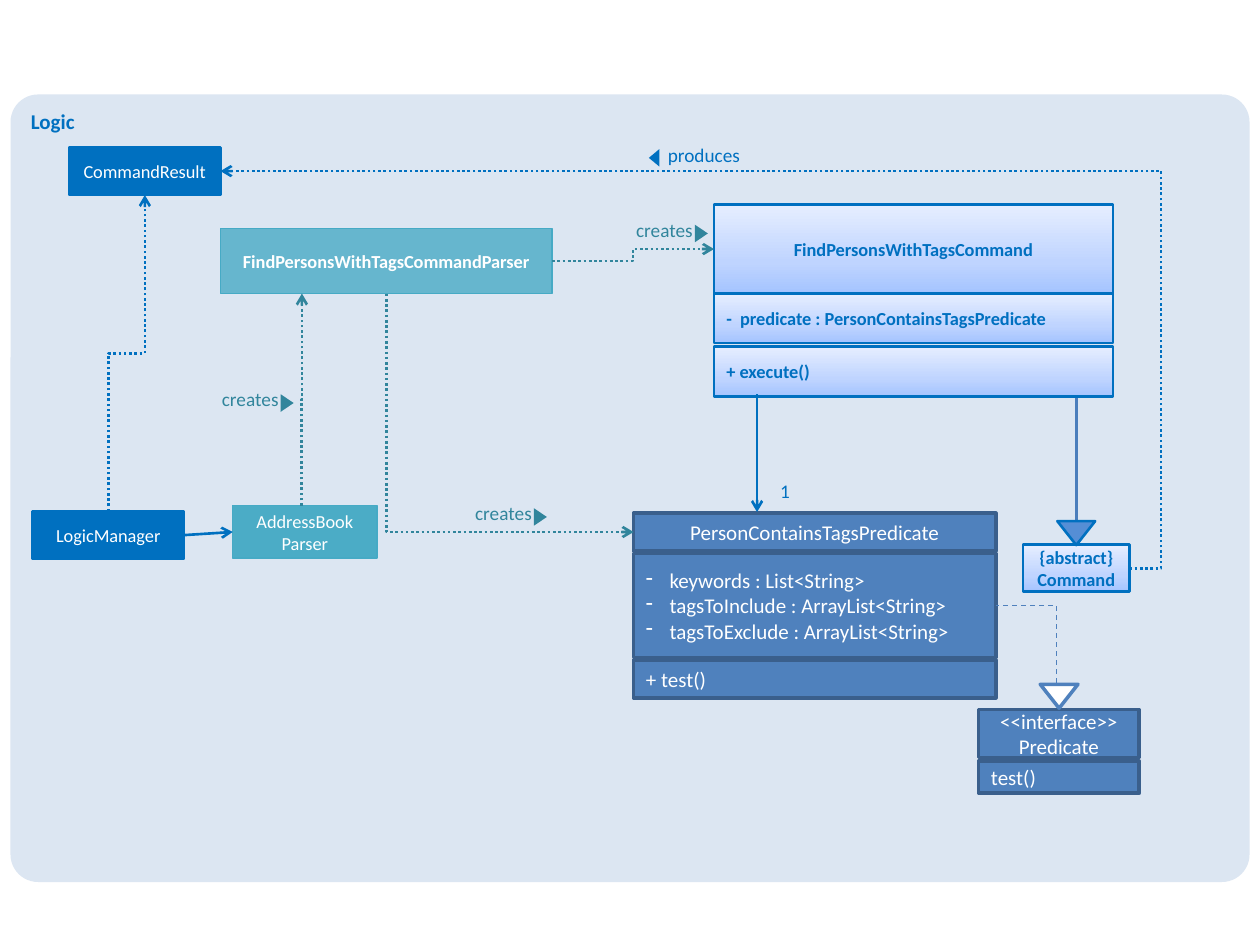
from dataclasses import dataclass
from typing import Optional

from lxml import etree
from pptx import Presentation
from pptx import util as u
from pptx.dml import color
from pptx.enum import dml, shapes, text
from pptx.oxml import ns

FONT = "Calibri"
WHITE = color.RGBColor(0xFF, 0xFF, 0xFF)
PANEL = color.RGBColor(0xDC, 0xE6, 0xF2)
BLUE = color.RGBColor(0x00, 0x70, 0xC0)
TEAL = color.RGBColor(0x4B, 0xAC, 0xC6)
TEAL_EDGE = color.RGBColor(0x46, 0xAA, 0xC5)
DARK_TEAL = color.RGBColor(0x31, 0x85, 0x9C)
STEEL = color.RGBColor(0x4F, 0x81, 0xBD)
STEEL_EDGE = color.RGBColor(0x3A, 0x5F, 0x8C)
INHERIT = color.RGBColor(0x4B, 0x7E, 0xBC)
SKY = color.RGBColor(0x55, 0x8E, 0xD5)
GRADIENT = (
    (0, color.RGBColor(0xA4, 0xC4, 0xFF)),
    (35, color.RGBColor(0xBF, 0xD4, 0xFF)),
    (100, color.RGBColor(0xE6, 0xEE, 0xFF)),
)

SHAPE = shapes.MSO_SHAPE
LEFT, CENTER, RIGHT = text.PP_ALIGN.LEFT, text.PP_ALIGN.CENTER, text.PP_ALIGN.RIGHT
DOT, DASH = dml.MSO_LINE.ROUND_DOT, dml.MSO_LINE.DASH


@dataclass
class Style:
    fill: Optional[color.RGBColor]  # None means the pale gradient
    edge: color.RGBColor
    weight: float
    ink: color.RGBColor
    size: float
    bold: bool = False
    alpha: int = 100


@dataclass
class Box:
    frame: tuple[float, float, float, float]
    style: Style
    lines: tuple[str, ...]
    align: text.PP_ALIGN = CENTER
    bullets: bool = False


@dataclass
class Label:
    frame: tuple[float, float, float, float]
    words: str
    ink: color.RGBColor
    align: text.PP_ALIGN = LEFT


@dataclass
class Triangle:
    frame: tuple[float, float, float, float]
    turn: int
    fill: color.RGBColor
    edge: Optional[color.RGBColor] = None
    weight: float = 0


@dataclass
class Link:
    start: tuple[float, float]
    end: tuple[float, float]
    ink: color.RGBColor
    preset: str = "line"
    turn: int = 0  # 90 or 270 when the path leaves its start vertically
    dash: Optional[dml.MSO_LINE] = DOT
    weight: float = 1.5
    arrow: bool = True
    bend: Optional[int] = None


COMMAND = Style(None, BLUE, 1.5, BLUE, 10.5, bold=True)
MODEL = Style(STEEL, STEEL_EDGE, 2, WHITE, 12)
LOGIC = Style(BLUE, BLUE, 1.5, WHITE, 10.5)
PARSER = Style(TEAL, TEAL_EDGE, 0.75, WHITE, 10.5)
FIND_PARSER = Style(TEAL, TEAL_EDGE, 0.75, WHITE, 10.5, bold=True, alpha=81)

BOXES = (
    Box((126, 130.5, 189.5, 37.3), FIND_PARSER, ("FindPersonsWithTagsCommandParser",)),
    Box((408, 116.8, 228, 51), COMMAND, ("FindPersonsWithTagsCommand",)),
    Box((408, 167.8, 228, 28.2), COMMAND,
        ("-  predicate : PersonContainsTagsPredicate",), LEFT),
    Box((408, 198, 228, 28.6), COMMAND, ("+ execute()",), LEFT),
    Box((584.6, 311.2, 60.8, 27), COMMAND, ("{abstract}\nCommand",)),
    Box((362, 293.3, 207, 21.5), MODEL, ("PersonContainsTagsPredicate",)),
    Box((362, 316.2, 207, 59.5), MODEL,
        ("keywords : List<String>", "tagsToInclude : ArrayList<String>",
         "tagsToExclude : ArrayList<String>"), LEFT, bullets=True),
    Box((362, 377.3, 207, 21.5), MODEL, ("+ test()",), LEFT),
    Box((559.2, 405.4, 91.8, 27.4), MODEL, ("<<interface>>\nPredicate",)),
    Box((559.2, 435, 91.8, 18.3), MODEL, ("test()",), LEFT),
    Box((18.7, 292.2, 86.4, 27.3), LOGIC, ("LogicManager",)),
    Box((39.5, 84.2, 86.4, 27.3), LOGIC, ("CommandResult",)),
    Box((133, 289, 82.4, 30), PARSER, ("AddressBook", "Parser")),
)

LINKS = (
    # Inheritance and interface
    Link((615, 298), (615, 227.2), INHERIT, "bentConnector3", 90, None, arrow=False, bend=50),
    Link((603.8, 390.4), (569, 346), STEEL, "bentConnector2", 270, DASH, 0.75, False),
    # Association and calls
    Link((432.6, 225.2), (432.6, 292.6), BLUE, dash=None),
    Link((105.2, 305.8), (133, 304), BLUE, dash=None),
    # Creation
    Link((220.8, 167.8), (362, 304), DARK_TEAL, "bentConnector2", 270),
    Link((315.5, 149.2), (408, 142.3), DARK_TEAL, "bentConnector3", bend=50),
    Link((172.2, 289), (172.5, 167.8), DARK_TEAL, "bentConnector3", 90, bend=50),
    # Results
    Link((62, 292.2), (82.8, 111.5), BLUE, "bentConnector3", 90, bend=50),
    Link((645.4, 324.7), (126, 97.8), BLUE, "bentConnector3", bend=-3.5),
)

CREATES_AT = ((271.5, 286.5), (363.5, 124.5), (126.8, 221.4))
LABELS = tuple(Label((x, y, 44, 20), "creates", DARK_TEAL) for x, y in CREATES_AT) + (
    Label((441.2, 273.8, 10.2, 18), "1", BLUE, RIGHT),
    Label((381.6, 82, 57.6, 18), "produces", BLUE),
)

TRIANGLES = tuple(
    Triangle((x + 32.3, y + 5.2, 10, 7.4), 90, DARK_TEAL) for x, y in CREATES_AT
) + (
    Triangle((368.8, 87.2, 10, 6), 270, BLUE),
    Triangle((604.2, 297.8, 21.6, 13.7), 180, SKY, BLUE, 1.5),
    Triangle((594.4, 391, 21.6, 13.7), 180, WHITE, STEEL, 2),
)


def points(values):
    return [u.Pt(value) for value in values]


def write(para, words: str, ink, size: float, bold: bool = False) -> None:
    for number, line in enumerate(words.split("\n")):
        if number:
            para.add_line_break()
        span = para.add_run()
        span.text = line
        span.font.name, span.font.size, span.font.bold = FONT, u.Pt(size), bold
        span.font.color.rgb = ink


def add_child(parent, tag: str, **attributes):
    return etree.SubElement(parent, ns.qn(tag), **attributes)


def fill_gradient(shape) -> None:
    shape.fill.gradient()
    shape.fill.gradient_angle = 90
    stops = shape._element.spPr.find(".//" + ns.qn("a:gsLst"))
    stops[:] = []
    for position, shade in GRADIENT:
        stop = add_child(stops, "a:gs", pos=str(position * 1000))
        add_child(stop, "a:srgbClr", val=str(shade))


def draw_box(page, box: Box) -> None:
    style = box.style
    shape = page.shapes.add_shape(SHAPE.RECTANGLE, *points(box.frame))
    shape.shadow.inherit = False
    if style.fill is None:
        fill_gradient(shape)
    else:
        shape.fill.solid()
        shape.fill.fore_color.rgb = style.fill
        if style.alpha < 100:
            shade = shape._element.spPr.find(ns.qn("a:solidFill"))[0]
            add_child(shade, "a:alpha", val=str(style.alpha * 1000))
    shape.line.color.rgb, shape.line.width = style.edge, u.Pt(style.weight)
    frame = shape.text_frame
    frame.vertical_anchor = text.MSO_ANCHOR.MIDDLE
    for number, words in enumerate(box.lines):
        para = frame.add_paragraph() if number else frame.paragraphs[0]
        para.alignment = box.align
        if box.bullets:
            properties = para._p.get_or_add_pPr()
            properties.set("marL", str(u.Pt(13.5)))
            properties.set("indent", str(u.Pt(-13.5)))
            add_child(properties, "a:buChar", char="-")
        write(para, words, style.ink, style.size, style.bold)


def draw_label(page, label: Label) -> None:
    frame = page.shapes.add_textbox(*points(label.frame)).text_frame
    frame.word_wrap = True
    frame.margin_left = frame.margin_right = frame.margin_top = frame.margin_bottom = 0
    frame.paragraphs[0].alignment = label.align
    write(frame.paragraphs[0], label.words, label.ink, 11)


def draw_triangle(page, triangle: Triangle) -> None:
    shape = page.shapes.add_shape(SHAPE.ISOSCELES_TRIANGLE, *points(triangle.frame))
    shape.shadow.inherit = False
    shape.rotation = triangle.turn
    shape.fill.solid()
    shape.fill.fore_color.rgb = triangle.fill
    if triangle.edge is None:
        shape.line.fill.background()
    else:
        shape.line.color.rgb, shape.line.width = triangle.edge, u.Pt(triangle.weight)


def draw_link(page, link: Link) -> None:
    # Turn the span back about its middle to get the unrotated end points
    (x1, y1), (x2, y2) = link.start, link.end
    dx, dy = x2 - x1, y2 - y1
    dx, dy = {0: (dx, dy), 90: (dy, -dx), 270: (-dy, dx)}[link.turn]
    x, y = (x1 + x2) / 2, (y1 + y2) / 2
    ends = points((x - dx / 2, y - dy / 2, x + dx / 2, y + dy / 2))
    line = page.shapes.add_connector(shapes.MSO_CONNECTOR.STRAIGHT, *ends)
    properties = line._element.spPr
    if link.turn:
        properties.find(ns.qn("a:xfrm")).set("rot", str(link.turn * 60000))
    geometry = properties.find(ns.qn("a:prstGeom"))
    geometry.set("prst", link.preset)
    if link.bend is not None:
        guides = geometry.find(ns.qn("a:avLst"))
        add_child(guides, "a:gd", name="adj1", fmla=f"val {int(link.bend * 1000)}")
    line.line.color.rgb, line.line.width = link.ink, u.Pt(link.weight)
    if link.dash is not None:
        line.line.dash_style = link.dash
    if link.arrow:
        add_child(properties.find(ns.qn("a:ln")), "a:tailEnd", type="arrow")
    add_child(properties, "a:effectLst")


def draw_panel(page) -> None:
    panel = page.shapes.add_shape(SHAPE.ROUNDED_RECTANGLE, *points((6, 54, 708, 450)))
    panel.adjustments[0] = 0.035
    panel.shadow.inherit = False
    panel.fill.solid()
    panel.fill.fore_color.rgb = PANEL
    panel.line.fill.background()
    panel.text_frame.vertical_anchor = text.MSO_ANCHOR.TOP
    para = panel.text_frame.paragraphs[0]
    para.alignment = LEFT
    write(para, "Logic", BLUE, 12, True)


def main() -> None:
    deck = Presentation()
    deck.slide_width, deck.slide_height = points((720, 540))
    page = deck.slides.add_slide(deck.slide_layouts[6])
    draw_panel(page)
    for draw, items in ((draw_box, BOXES), (draw_link, LINKS),
                        (draw_label, LABELS), (draw_triangle, TRIANGLES)):
        for item in items:
            draw(page, item)
    deck.save("out.pptx")


if __name__ == "__main__":
    main()
